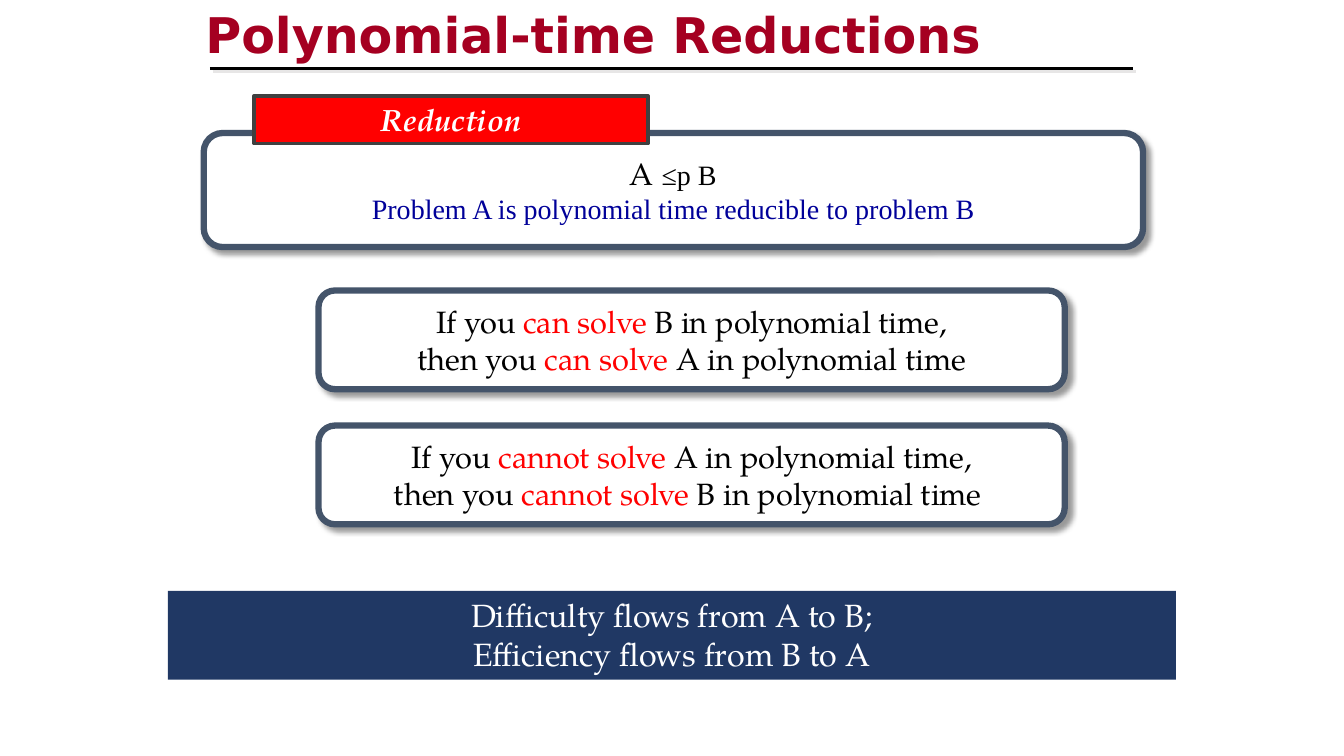
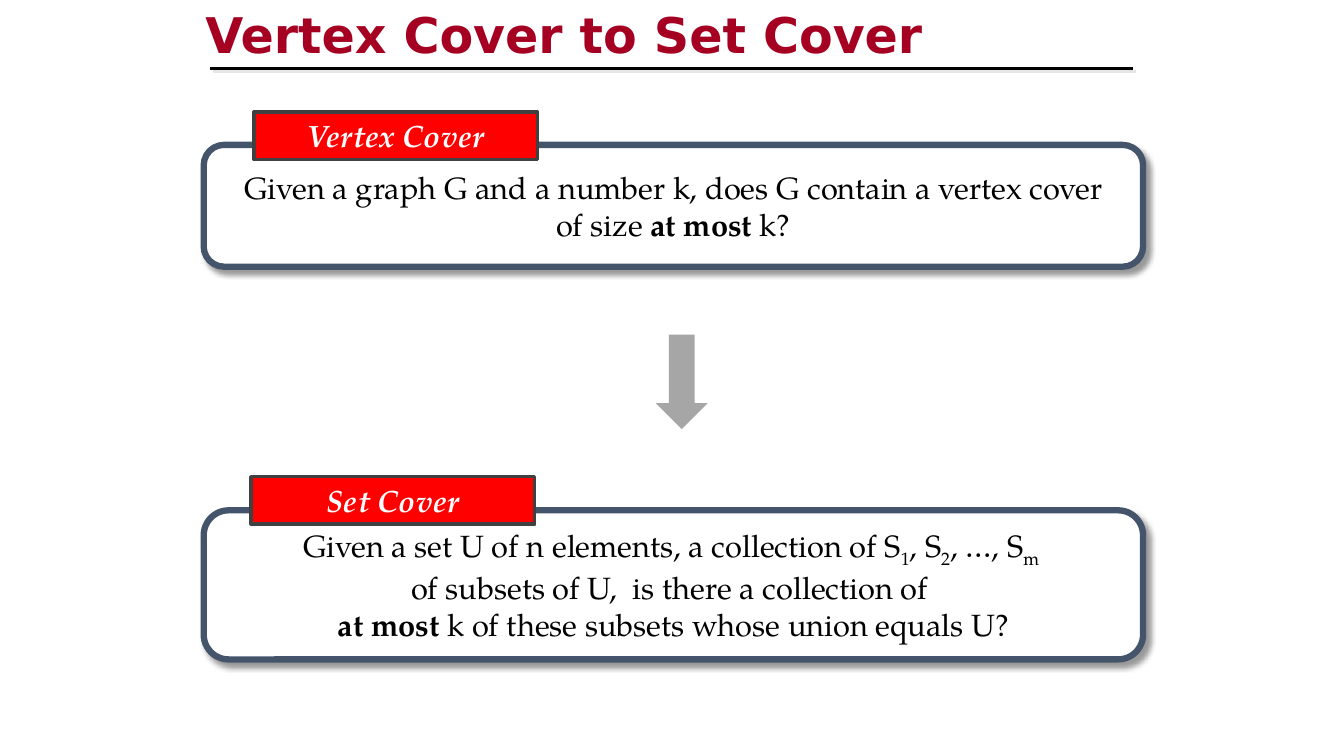
from dataclasses import dataclass
from pptx import Presentation
from pptx.dml.color import RGBColor
from pptx.enum.shapes import MSO_CONNECTOR, MSO_SHAPE
from pptx.enum.text import MSO_ANCHOR, MSO_AUTO_SIZE, PP_ALIGN
from pptx.oxml import parse_xml
from pptx.oxml.ns import qn
from pptx.util import Pt


@dataclass(frozen=True)
class Theme:
    title: str = "A50021"
    ink: str = "000000"
    paper: str = "FFFFFF"
    frame: str = "44546A"
    tag: str = "FF0000"
    tag_edge: str = "404040"
    banner: str = "203864"
    arrow: str = "A6A6A6"
    navy: str = "000099"
    soft: str = "E7E6E6"
    title_font: str = "DejaVu Sans"
    body_font: str = "TeX Gyre Pagella"
    math_font: str = "Times New Roman"
    title_size: float = 35.1
    body_size: float = 22
    math_size: float = 20
    banner_size: float = 23


T = Theme()
STYLES = {
    "": (T.body_font, T.body_size, T.ink),
    "red": (T.body_font, T.body_size, T.tag),
    "bold": (T.body_font, T.body_size, T.ink),
    "sub": (T.body_font, T.body_size, T.ink),
    "math": (T.math_font, T.math_size, T.ink),
    "navy": (T.math_font, T.math_size, T.navy),
    "tag": (T.body_font, T.body_size, T.paper),
    "banner": (T.body_font, T.banner_size, T.paper),
    "title": (T.title_font, T.title_size, T.title),
}


def shadow_xml(color, alpha, blur, dist):
    return parse_xml(
        '<a:effectLst xmlns:a="http://schemas.openxmlformats.org/drawingml/2006/main">'
        f'<a:outerShdw blurRad="{Pt(blur)}" dist="{Pt(dist)}" dir="2700000" algn="tl" rotWithShape="0">'
        f'<a:srgbClr val="{color}"><a:alpha val="{alpha * 1000}"/></a:srgbClr>'
        '</a:outerShdw></a:effectLst>')


def write(tf, lines, align):
    for i, line in enumerate(lines):
        p = tf.paragraphs[0] if i == 0 else tf.add_paragraph()
        p.alignment = align
        for text, style in line:
            r = p.add_run()
            r.text = text
            font, size, color = STYLES[style]
            r.font.name, r.font.size = font, Pt(size)
            r.font.color.rgb = RGBColor.from_string(color)
            r.font.bold = style in ("bold", "tag", "title")
            r.font.italic = style == "tag"
            if style == "sub":
                r.font._element.set("baseline", "-25000")
            if style == "title":
                fill = r.font._element.find(qn("a:solidFill"))
                fill.addnext(shadow_xml(T.soft, 100, 0, 2.8))


CARD, TAG, BANNER, ARROW = "card", "tag", "banner", "arrow"
LOOKS = {
    CARD: (MSO_SHAPE.ROUNDED_RECTANGLE, T.paper, T.frame, 4.5),
    TAG: (MSO_SHAPE.RECTANGLE, T.tag, T.tag_edge, 2.5),
    BANNER: (MSO_SHAPE.RECTANGLE, T.banner, None, 0),
    ARROW: (MSO_SHAPE.DOWN_ARROW, T.arrow, None, 0),
}
WIDE_X, WIDE_W = 145.5, 671
NARROW_X, NARROW_W, NARROW_H = 227.5, 533, 70.5
TAG_X, TAG_W, TAG_H = 181.5, 202.5, 34

SLIDES = [
    ("Polynomial-time Reductions", [
        (CARD, (WIDE_X, 95, WIDE_W, 81.5), [
            [("A ", ""), ("≤p B", "math")],
            [("Problem A is polynomial time reducible to problem B", "navy")]]),
        (TAG, (TAG_X, 68.5, 281.5, TAG_H), [[("Reduction", "tag")]]),
        (CARD, (NARROW_X, 207.5, NARROW_W, NARROW_H), [
            [("If you ", ""), ("can solve", "red"), (" B in polynomial time,", "")],
            [("then you ", ""), ("can solve ", "red"), ("A in polynomial time", "")]]),
        (CARD, (NARROW_X, 304, NARROW_W, NARROW_H), [
            [("If you ", ""), ("cannot solve ", "red"), ("A in polynomial time,", "")],
            [("then you ", ""), ("cannot solve", "red"), (" B in polynomial time ", "")]]),
        (BANNER, (120, 422, 720, 63.5), [
            [("Difficulty flows from A to B;", "banner")],
            [("Efficiency flows from B to A", "banner")]]),
    ]),
    ("Vertex Cover to Set Cover", [
        (CARD, (WIDE_X, 364.5, WIDE_W, 106.5), [
            [("Given a set U of n elements, a collection of S", ""), ("1", "sub"),
             (", S", ""), ("2", "sub"), (", …, S", ""), ("m ", "sub")],
            [("of subsets of U,  is there a collection of ", "")],
            [("at most ", "bold"), ("k of these subsets whose union equals U?", "")]]),
        (TAG, (TAG_X - 2, 340.5, TAG_W, TAG_H), [[("Set Cover", "tag")]]),
        (CARD, (WIDE_X, 103.5, WIDE_W, 87), [
            [("Given a graph G and a number k, does G contain a vertex cover", "")],
            [("of size ", ""), ("at most ", "bold"), ("k?", "")]]),
        (TAG, (TAG_X, 80, TAG_W, TAG_H), [[("Vertex Cover", "tag")]]),
        (ARROW, (468.5, 239, 37, 67.5), []),
    ]),
]

prs = Presentation()
prs.slide_width, prs.slide_height = Pt(960), Pt(540)
layout = prs.slide_layouts[5]
head = layout.placeholders[0]
head.left, head.top, head.width, head.height = Pt(139.5), Pt(0.5), Pt(612), Pt(48)
head.text_frame.vertical_anchor = MSO_ANCHOR.MIDDLE
head.text_frame.auto_size = MSO_AUTO_SIZE.NONE

slides = [prs.slides.add_slide(layout) for _ in SLIDES]
rule = slides[0].shapes.add_connector(MSO_CONNECTOR.STRAIGHT, Pt(150), Pt(49), Pt(809.5), Pt(49))
rule.line.color.rgb = RGBColor.from_string(T.ink)
rule.line.width = Pt(2.25)
rule.element.spPr.append(shadow_xml(T.soft, 100, 0, 2.8))
layout.shapes.element.append(rule.element)

for s, (title, parts) in zip(slides, SLIDES):
    write(s.shapes.title.text_frame, [[(title, "title")]], PP_ALIGN.LEFT)
    for kind, frame, lines in parts:
        preset, fill, edge, weight = LOOKS[kind]
        sp = s.shapes.add_shape(preset, *map(Pt, frame))
        sp.fill.solid()
        sp.fill.fore_color.rgb = RGBColor.from_string(fill)
        if edge:
            sp.line.color.rgb = RGBColor.from_string(edge)
            sp.line.width = Pt(weight)
        else:
            sp.line.fill.background()
        if kind == CARD:
            sp.element.spPr.append(shadow_xml(T.ink, 40, 4, 4))
        else:
            sp.shadow.inherit = False
        if lines:
            tf = sp.text_frame
            tf.word_wrap = kind != CARD
            tf.vertical_anchor = MSO_ANCHOR.MIDDLE if kind == CARD else MSO_ANCHOR.TOP
            tf.auto_size = MSO_AUTO_SIZE.NONE if kind == CARD else MSO_AUTO_SIZE.SHAPE_TO_FIT_TEXT
            write(tf, lines, PP_ALIGN.CENTER)

prs.save("out.pptx")
